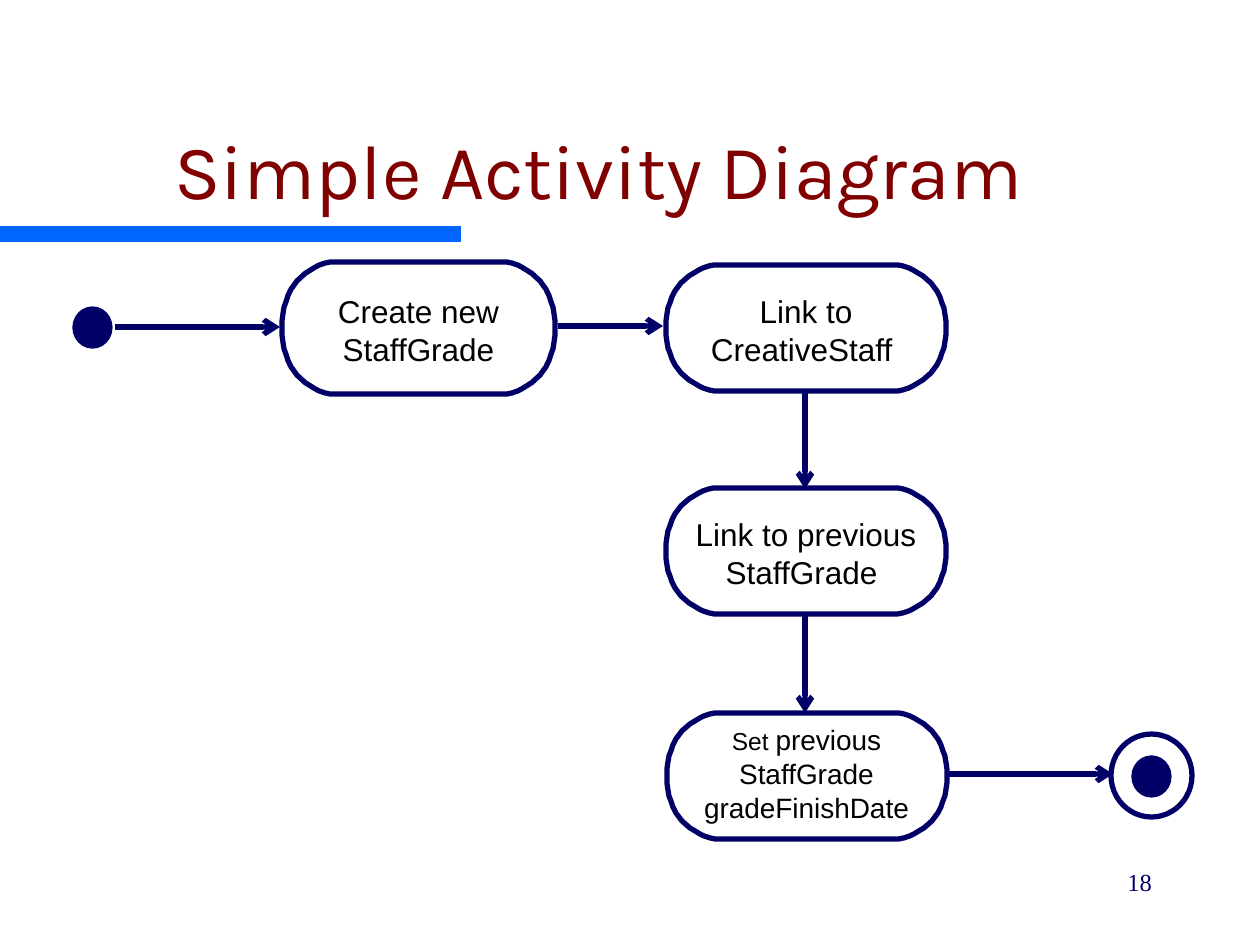
from dataclasses import dataclass

from lxml.etree import SubElement
from pptx import Presentation
from pptx.dml.color import RGBColor
from pptx.enum.shapes import MSO_CONNECTOR, MSO_SHAPE
from pptx.enum.text import MSO_ANCHOR, PP_ALIGN
from pptx.oxml.ns import qn
from pptx.util import Emu, Pt

COLORS = {"ink": "000066", "bar": "0066FF", "title": "800000",
          "text": "000000", "paper": "FFFFFF"}
PX = 914400 / 126
CORNER_WIDTH, CORNER_HEIGHT = 53, 63
# Insets from the left and top edges, from the top edge down to the left side.
CORNER = [(53, 0), (48, 0), (43, 1), (37, 3), (33, 5), (28, 8), (23, 11), (15, 18),
          (9, 26), (6, 32), (4, 38), (2, 43), (1, 49), (0, 56), (0, 63)]


@dataclass(frozen=True)
class Box:
    left: int
    top: int
    width: int
    height: int

    def emu(self) -> list[Emu]:
        return [px(value) for value in (self.left, self.top, self.width, self.height)]


@dataclass(frozen=True)
class Span:
    text: str
    size: int
    font: str = "Arial"
    color: str = "text"


@dataclass(frozen=True)
class Activity:
    outline: Box
    label: Box
    spans: tuple[Span, ...]


@dataclass(frozen=True)
class Arrow:
    start: tuple[int, int]
    end: tuple[int, int]


ACTIVITIES = [
    Activity(Box(282, 262, 273, 132), Box(334, 292, 169, 76),
             (Span("Create new StaffGrade", 18),)),
    Activity(Box(666, 265, 280, 126), Box(709, 292, 194, 76),
             (Span("Link to CreativeStaff ", 18),)),
    Activity(Box(666, 488, 280, 126), Box(693, 515, 226, 76),
             (Span("Link to previous StaffGrade ", 18),)),
    Activity(Box(667, 713, 280, 126), Box(700, 723, 213, 101),
             (Span("Set ", 14), Span("previous StaffGrade gradeFinishDate", 16))),
]
ARROWS = [
    Arrow((115, 327), (280, 327)),
    Arrow((558, 326), (663, 326)),
    Arrow((805, 392), (805, 489)),
    Arrow((805, 616), (805, 713)),
    Arrow((948, 774), (1113, 774)),
]


def px(value: float) -> Emu:
    return Emu(round(value * PX))


def rgb(name: str) -> RGBColor:
    return RGBColor.from_string(COLORS[name])


def style(shape, fill: str, line: str | None = None, weight: float = 3) -> None:
    shape.shadow.inherit = False
    shape.fill.solid()
    shape.fill.fore_color.rgb = rgb(fill)
    if line:
        shape.line.color.rgb = rgb(line)
        shape.line.width = Pt(weight)
    else:
        shape.line.fill.background()


def add_text(page, box: Box, spans: tuple[Span, ...], align=PP_ALIGN.CENTER,
             anchor=MSO_ANCHOR.TOP, inset: tuple[int, int] = (0, 0)):
    shape = page.shapes.add_textbox(*box.emu())
    frame = shape.text_frame
    frame.word_wrap = True
    frame.vertical_anchor = anchor
    frame.margin_left = frame.margin_right = px(inset[0])
    frame.margin_top = frame.margin_bottom = px(inset[1])
    para = frame.paragraphs[0]
    para.alignment = align
    for span in spans:
        run = para.add_run()
        run.text = span.text
        run.font.size = Pt(span.size)
        run.font.name = span.font
        run.font.color.rgb = rgb(span.color)
    return shape


def outline_points(box: Box) -> list[tuple[int, int]]:
    """Mirror the corner into all four quarters, counter-clockwise from the top left."""
    stretch = box.height / 2 / CORNER_HEIGHT
    corner = [(x, y * stretch) for x, y in CORNER]
    left = corner + [(x, box.height - y) for x, y in reversed(corner[:-1])]
    right = [(box.width - x, y) for x, y in reversed(left)]
    return [(px(box.left + x), px(box.top + y)) for x, y in left + right]


def add_activity(page, activity: Activity) -> None:
    first, *rest = outline_points(activity.outline)
    builder = page.shapes.build_freeform(*first, scale=1.0)
    builder.add_line_segments(rest, close=True)
    style(builder.convert_to_shape(), "paper", "ink")
    label = add_text(page, activity.label, activity.spans)
    label.fill.solid()
    label.fill.fore_color.rgb = rgb("paper")


def add_arrow(page, arrow: Arrow) -> None:
    ends = [px(value) for value in (*arrow.start, *arrow.end)]
    connector = page.shapes.add_connector(MSO_CONNECTOR.STRAIGHT, *ends)
    connector.line.color.rgb = rgb("ink")
    connector.line.width = Pt(3)
    SubElement(connector.line._get_or_add_ln(), qn("a:tailEnd"), type="arrow")
    SubElement(connector._element.spPr, qn("a:effectLst"))


def add_preset(page, kind, box: Box, fill: str, line: str | None = None,
               weight: float = 3) -> None:
    style(page.shapes.add_shape(kind, *box.emu()), fill, line, weight)


def main() -> None:
    deck = Presentation()
    deck.slide_width, deck.slide_height = px(1260), px(945)
    page = deck.slides.add_slide(deck.slide_layouts[6])

    add_preset(page, MSO_SHAPE.RECTANGLE, Box(0, 226, 461, 16), "bar")
    for activity in ACTIVITIES:
        add_activity(page, activity)
    for arrow in ARROWS:
        add_arrow(page, arrow)

    add_preset(page, MSO_SHAPE.OVAL, Box(73, 307, 39, 41), "ink", "ink", 0.75)
    add_preset(page, MSO_SHAPE.OVAL, Box(1111, 734, 81, 83), "paper", "ink")
    add_preset(page, MSO_SHAPE.OVAL, Box(1132, 756, 39, 41), "ink", "ink", 0.75)

    add_text(page, Box(32, 63, 1134, 158),
             (Span("Simple Activity Diagram", 44, "Karla", "title"),),
             anchor=MSO_ANCHOR.BOTTOM, inset=(13, 6))
    add_text(page, Box(903, 861, 262, 63),
             (Span("18", 14, "Times New Roman", "ink"),),
             align=PP_ALIGN.RIGHT, inset=(13, 6))
    deck.save("out.pptx")


if __name__ == "__main__":
    main()
